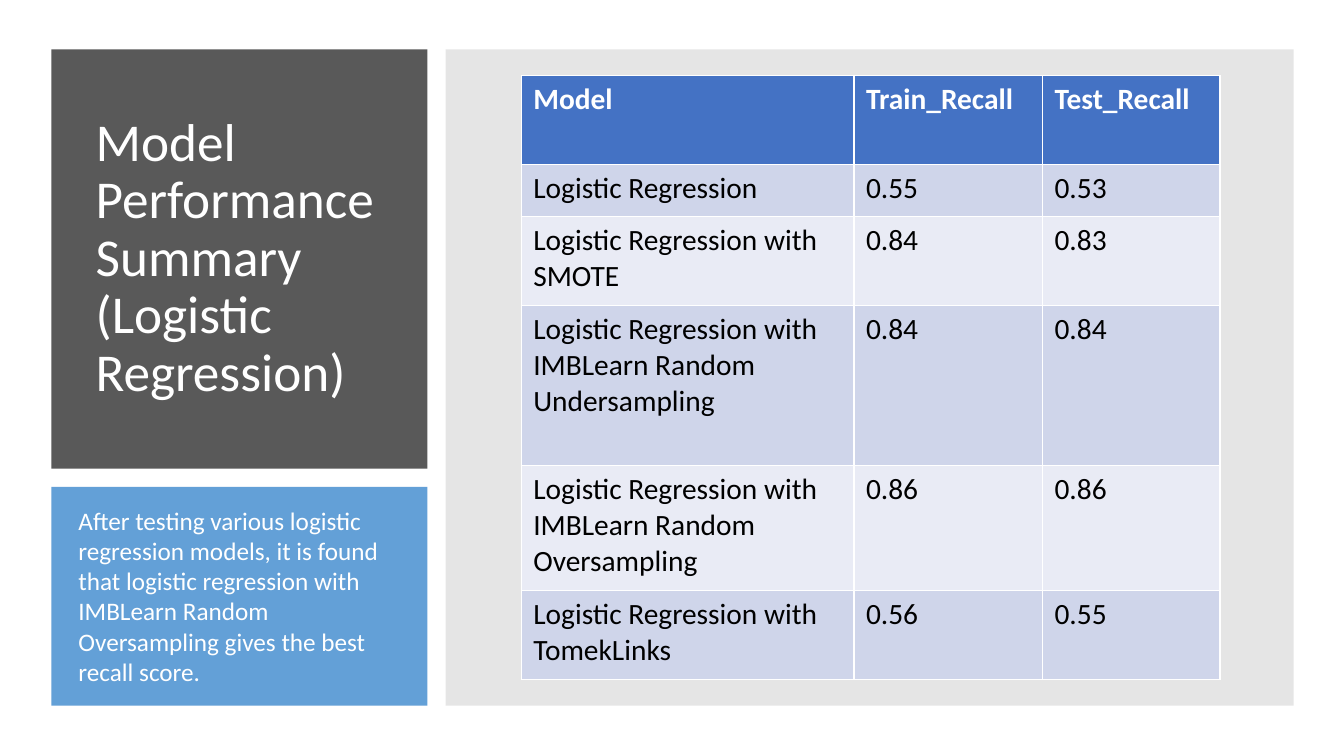
from lxml import etree
from pptx import Presentation
from pptx import util as u
from pptx.dml.color import RGBColor
from pptx.enum import shapes, text
from pptx.oxml.ns import qn

THEME = {
    "font": "Calibri",
    "title_size": 38, "note_size": 18, "table_size": 21,
    "light": "FFFFFF", "dark": "000000",
    "title_panel": "595959", "note_panel": "5B9BD5", "table_panel": "808080",
    "header": "4472C4", "bands": ("CFD5EA", "E9EBF5"),
}

presentation = Presentation()
presentation.slide_width = u.Inches(13.33)
presentation.slide_height = u.Inches(7.5)
slide = presentation.slides.add_slide(presentation.slide_layouts[6])

# Panel grid: two columns and two rows with one gap; the table panel spans both rows
LEFT, TOP, GAP = 0.51, 0.49, 0.18
COLUMNS = (3.73, 8.41)
ROWS = (4.16, 2.17)
title_area = (LEFT, TOP, COLUMNS[0], ROWS[0])
note_area = (LEFT, TOP + ROWS[0] + GAP, COLUMNS[0], ROWS[1])
table_area = (LEFT + COLUMNS[0] + GAP, TOP, COLUMNS[1], sum(ROWS) + GAP)


def inset(area, left, top, right, bottom):
    x, y, width, height = area
    box = (x + left, y + top, width - left - right, height - top - bottom)
    return [u.Inches(length) for length in box]


def style_runs(paragraph, size, color, bold=False):
    for run in paragraph.runs:
        run.font.name = THEME["font"]
        run.font.size = u.Pt(size)
        run.font.bold = bold
        run.font.color.rgb = RGBColor.from_string(color)


# Background panels, with opacity in percent
for area, fill, opacity in (
    (title_area, "title_panel", 100),
    (note_area, "note_panel", 95),
    (table_area, "table_panel", 20),
):
    panel = slide.shapes.add_shape(shapes.MSO_SHAPE.RECTANGLE, *inset(area, 0, 0, 0, 0))
    panel.shadow.inherit = False
    panel.line.fill.background()
    panel.fill.solid()
    panel.fill.fore_color.rgb = RGBColor.from_string(THEME[fill])
    if opacity < 100:
        color = panel._element.spPr.find(qn("a:solidFill"))[0]
        etree.SubElement(color, qn("a:alpha")).set("val", str(opacity * 1000))

# Title and note
for area, margins, anchor, size, spacing, words in (
    (title_area, (0.34, 0.31, 0.28, 0.31), text.MSO_ANCHOR.MIDDLE,
     THEME["title_size"], 0.9, "Model Performance Summary (Logistic Regression)"),
    (note_area, (0.17, 0.13, 0.16, 0.12), text.MSO_ANCHOR.TOP,
     THEME["note_size"], 1.0,
     "After testing various logistic regression models, it is found that logistic "
     "regression with IMBLearn Random Oversampling gives the best recall score."),
):
    text_frame = slide.shapes.add_textbox(*inset(area, *margins)).text_frame
    text_frame.word_wrap = True
    text_frame.vertical_anchor = anchor
    text_frame.text = words
    paragraph = text_frame.paragraphs[0]
    paragraph.line_spacing = spacing
    style_runs(paragraph, size, THEME["light"])

# Recall table, centred in its panel; the table style draws the white borders
records = (
    ("Model", "Train_Recall", "Test_Recall"),
    ("Logistic Regression", "0.55", "0.53"),
    ("Logistic Regression with SMOTE", "0.84", "0.83"),
    ("Logistic Regression with IMBLearn Random Undersampling", "0.84", "0.84"),
    ("Logistic Regression with IMBLearn Random Oversampling", "0.86", "0.86"),
    ("Logistic Regression with TomekLinks", "0.56", "0.55"),
)
column_widths = (3.3, 1.87, 1.76)
row_heights = (0.88, 0.52, 0.88, 1.59, 1.24, 0.88)
table = slide.shapes.add_table(
    len(records), len(column_widths), *inset(table_area, 0.75, 0.26, 0.73, 0.26)
).table
for column, width in zip(table.columns, column_widths):
    column.width = u.Inches(width)
for row, height in zip(table.rows, row_heights):
    row.height = u.Inches(height)

for row_index, record in enumerate(records):
    is_header = row_index == 0
    fill = THEME["header"] if is_header else THEME["bands"][(row_index - 1) % 2]
    ink = THEME["light"] if is_header else THEME["dark"]
    for column_index, value in enumerate(record):
        cell = table.cell(row_index, column_index)
        cell.margin_left = cell.margin_right = u.Inches(0.12)
        cell.margin_top = cell.margin_bottom = u.Inches(0.06)
        cell.fill.solid()
        cell.fill.fore_color.rgb = RGBColor.from_string(fill)
        cell.text_frame.text = value
        style_runs(cell.text_frame.paragraphs[0], THEME["table_size"], ink, is_header)

presentation.save("out.pptx")
